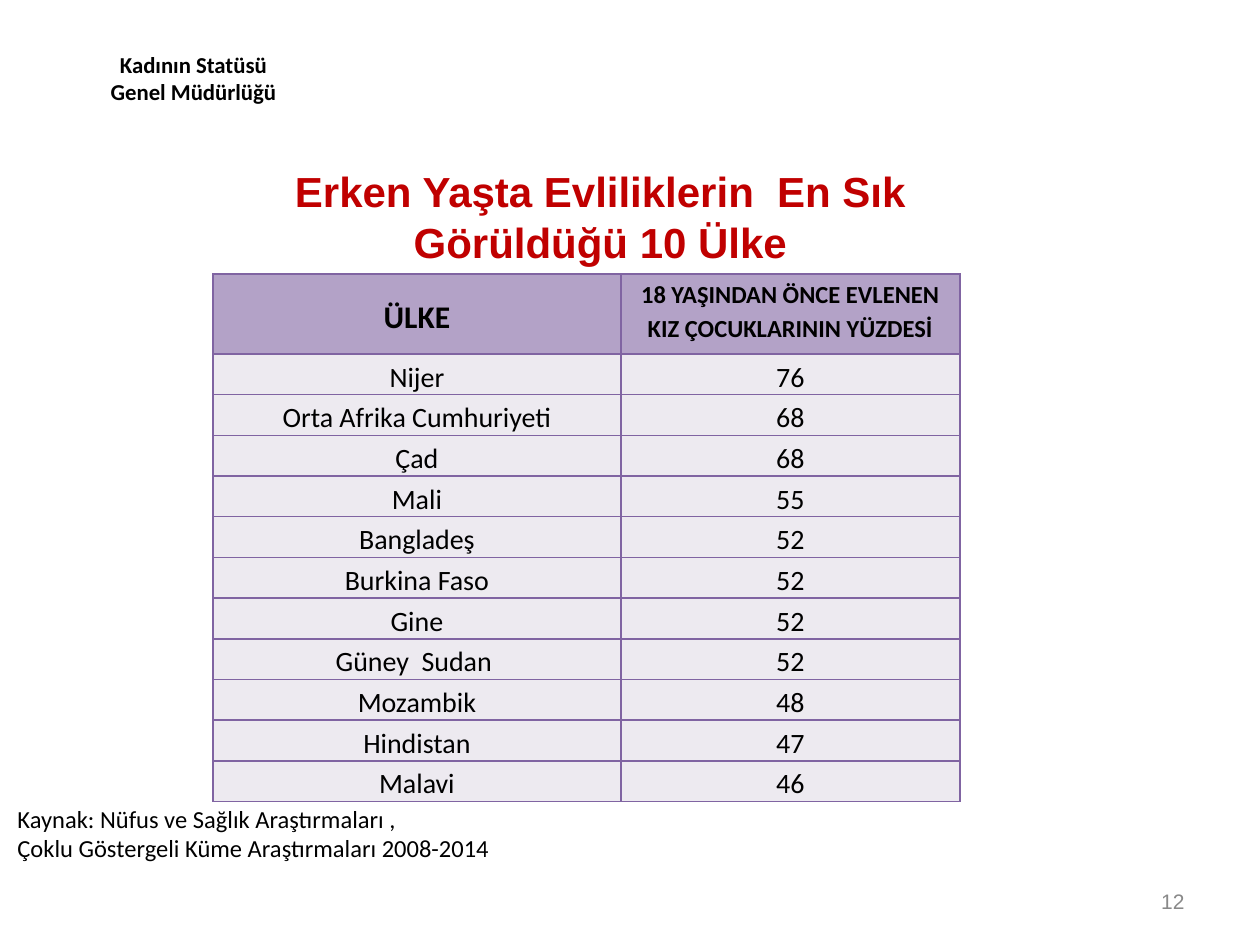
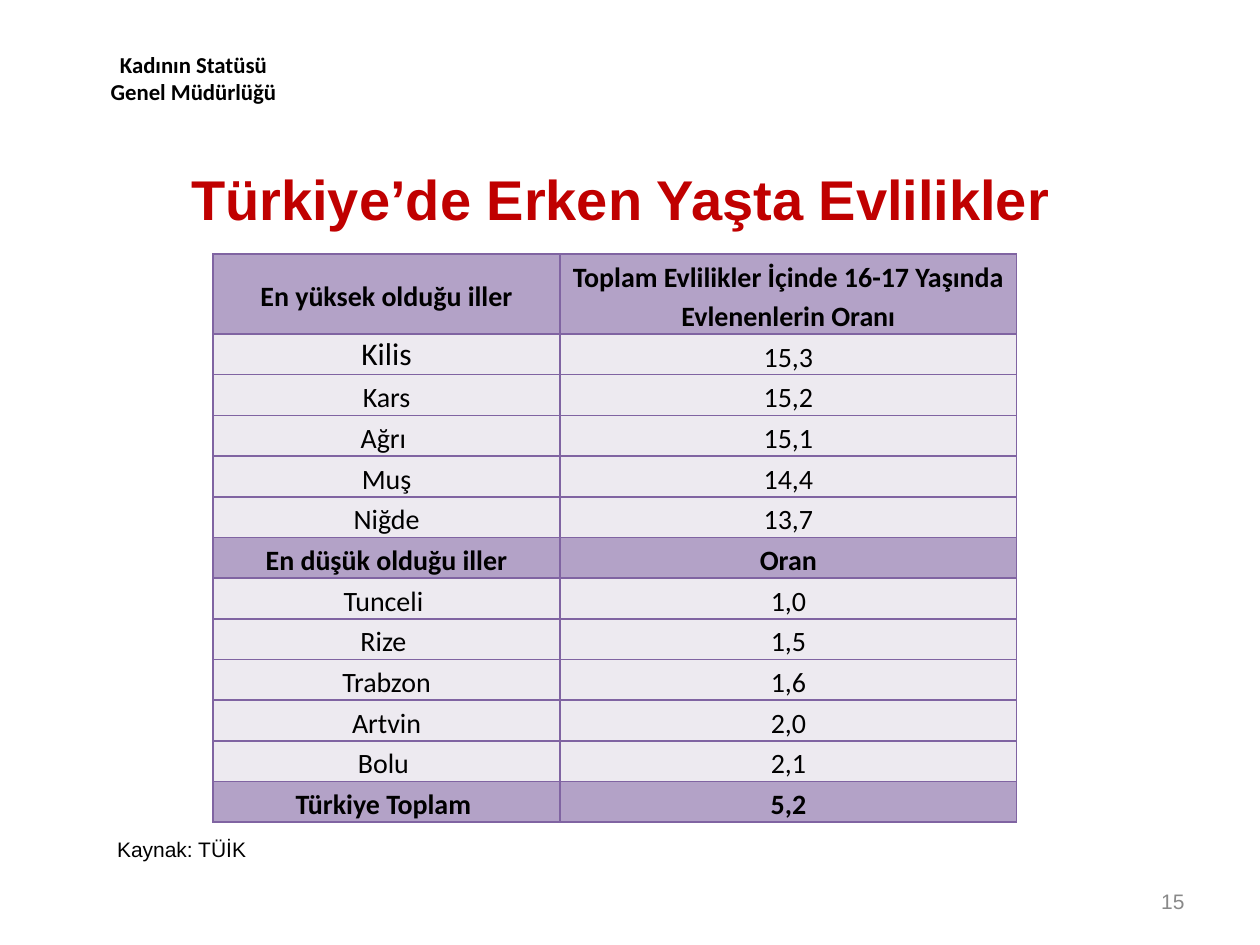
from pptx import Presentation
from pptx.util import Pt
from pptx.dml.color import RGBColor as Rgb
from pptx.enum.text import PP_ALIGN as Align, MSO_ANCHOR as Anchor
from pptx.oxml import parse_xml
from pptx.oxml.ns import nsdecls

# Content
OFFICE = "Kadının Statüsü Genel Müdürlüğü"
PAGES = [
    {
        "title": "Erken Yaşta Evliliklerin  En Sık Görüldüğü 10 Ülke",
        "title_box": (144.7, 82.8, 396.7, 62.6),
        "title_fmt": {"size": 24, "lead": Pt(29.3)},
        "page": "12",
        "head": ("ÜLKE", "18 YAŞINDAN ÖNCE EVLENEN KIZ ÇOCUKLARININ YÜZDESİ"),
        "head_sizes": (18, 14),
        "rows": [
            ("Nijer", "76"), ("Orta Afrika Cumhuriyeti", "68"), ("Çad", "68"),
            ("Mali", "55"), ("Bangladeş", "52"), ("Burkina Faso", "52"),
            ("Gine", "52"), ("Güney  Sudan ", "52"), ("Mozambik", "48"),
            ("Hindistan", "47"), ("Malavi", "46"),
        ],
        "bands": (),
        "top": 156.6,
        "cols": (233.1, 193.7),
        "source": ["Kaynak: Nüfus ve Sağlık Araştırmaları ,",
                   "Çoklu Göstergeli Küme Araştırmaları 2008-2014"],
        "source_box": (2.9, 438.5, 482.4, 58.3),
        "source_fmt": {"size": 14, "pad_top": 20.7},
    },
    {
        "title": "Türkiye’de Erken Yaşta Evlilikler",
        "title_box": (7.9, 82.8, 663.8, 45.4),
        "title_fmt": {"size": 32, "pad_left": 37},
        "page": "15",
        "head": ("En yüksek olduğu iller",
                 "Toplam Evlilikler İçinde 16-17 Yaşında Evlenenlerin Oranı"),
        "head_sizes": (16, 16),
        "rows": [
            ("Kilis", "15,3"), ("Kars", "15,2"), ("Ağrı ", "15,1"),
            ("Muş", "14,4"), ("Niğde", "13,7"),
            ("En düşük olduğu iller", "Oran"),
            ("Tunceli ", "1,0"), ("Rize ", "1,5"), ("Trabzon", "1,6"),
            ("Artvin", "2,0"), ("Bolu ", "2,1"), ("Türkiye Toplam ", "5,2"),
        ],
        "bands": (6, 12),
        "top": 145.2,
        "cols": (198.4, 260.9),
        "source": ["Kaynak: TÜİK"],
        "source_box": (59.8, 474.5, 130.3, 21.6),
        "source_fmt": {"size": 12, "font": "Arial"},
    },
]

# Shared style
HUES = {"text": "000000", "title": "C00000", "page": "898989",
        "band": "B3A2C7", "row": "EDEAF0", "edge": "8064A2"}
LEFT, HEAD_H, ROW_H = 121.7, 45.7, 23.25
LARGE = {"Kilis": {"size": 18, "lead": None, "after": None}}


def hue(name):
    return Rgb.from_string(HUES[name])


def write(frame, lines, size=16, font="Calibri", color="text", bold=False,
          align=Align.LEFT, lead=None, after=None):
    """Fill a text frame, one paragraph for each line."""
    for i, line in enumerate(lines):
        par = frame.add_paragraph() if i else frame.paragraphs[0]
        par.alignment = align
        if lead is not None:
            par.line_spacing = lead
        if after is not None:
            par.space_after = Pt(after)
        run = par.add_run()
        run.text = line
        run.font.size, run.font.name, run.font.bold = Pt(size), font, bold
        run.font.color.rgb = hue(color)


def add_box(slide, spot, lines, pad_top=3.6, pad_left=7.2, anchor=Anchor.TOP, **fmt):
    frame = slide.shapes.add_textbox(*map(Pt, spot)).text_frame
    frame.word_wrap = True
    frame.margin_top, frame.margin_left = Pt(pad_top), Pt(pad_left)
    frame.vertical_anchor = anchor
    write(frame, lines, **fmt)


def edge_cell(cell):
    """Draw the four borders; they must come before the fill."""
    props = cell._tc.get_or_add_tcPr()
    for i, side in enumerate("LRTB"):
        props.insert(i, parse_xml(
            f'<a:ln{side} {nsdecls("a")} w="12700"><a:solidFill>'
            f'<a:srgbClr val="{HUES["edge"]}"/></a:solidFill></a:ln{side}>'))


def fill_cell(cell, text, band, middle, **fmt):
    cell.margin_left = cell.margin_right = Pt(5)
    cell.margin_top, cell.margin_bottom = Pt(0.7), Pt(0)
    cell.vertical_anchor = Anchor.MIDDLE if middle else Anchor.TOP
    cell.fill.solid()
    cell.fill.fore_color.rgb = hue("band" if band else "row")
    edge_cell(cell)
    look = {"bold": band, "align": Align.CENTER, "lead": 1.15, "after": 10}
    write(cell.text_frame, [text], **{**look, **fmt})


def add_grid(slide, page):
    rows = [page["head"], *page["rows"]]
    high = HEAD_H + ROW_H * len(page["rows"])
    spot = (LEFT, page["top"], sum(page["cols"]), high)
    grid = slide.shapes.add_table(len(rows), 2, *map(Pt, spot)).table
    grid.first_row = grid.horz_banding = False
    for col, width in zip(grid.columns, page["cols"]):
        col.width = Pt(width)
    for r, row in enumerate(rows):
        grid.rows[r].height = Pt(ROW_H if r else HEAD_H)
        for c, text in enumerate(row):
            fmt = LARGE.get(text, {}) if r else {"size": page["head_sizes"][c]}
            # The label is centred in the head, the value in the body
            middle = (c == 0) if r == 0 else (c == 1)
            fill_cell(grid.cell(r, c), text, r == 0 or r in page["bands"],
                      middle, **fmt)


def add_page(deck, page):
    slide = deck.slides.add_slide(deck.slide_layouts[6])
    # Office name, title, page number
    add_box(slide, (48.2, 9.4, 124.6, 54.7), [OFFICE], pad_top=19.5,
            size=13, bold=True, align=Align.CENTER)
    add_box(slide, page["title_box"], [page["title"]], pad_top=11, font="Arial",
            color="title", bold=True, align=Align.CENTER, **page["title_fmt"])
    add_box(slide, (516.2, 500.4, 167.8, 28.8), [page["page"]], size=12,
            font="Arial", color="page", align=Align.RIGHT, anchor=Anchor.MIDDLE)
    # Table and its source
    add_grid(slide, page)
    add_box(slide, page["source_box"], page["source"], **page["source_fmt"])


def main():
    deck = Presentation()
    deck.slide_width, deck.slide_height = Pt(720), Pt(540)
    for page in PAGES:
        add_page(deck, page)
    deck.save("out.pptx")


if __name__ == "__main__":
    main()
